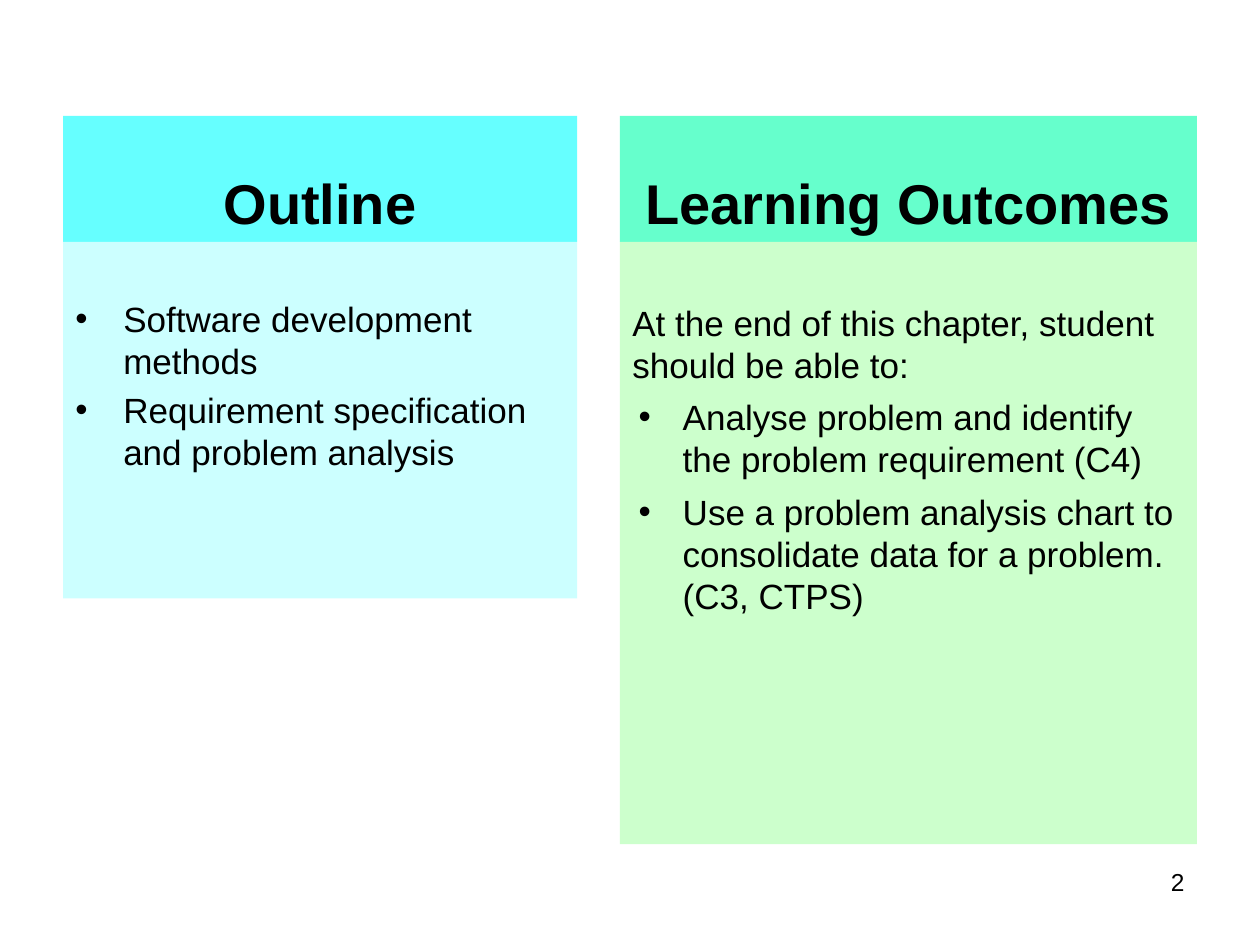
from lxml.etree import SubElement
from pptx import Presentation
from pptx.dml.color import RGBColor
from pptx.enum.shapes import MSO_SHAPE as Shape
from pptx.enum.text import MSO_ANCHOR as Anchor, PP_ALIGN as Align
from pptx.oxml.ns import qn
from pptx.util import Inches, Pt

COLORS = {
    "text": "000000",
    "outline_head": "66FFFF", "outline_body": "CCFFFF",
    "outcomes_head": "66FFCC", "outcomes_body": "CCFFCC",
}
FONT = "Arial"
PANELS = [
    {"name": "outline", "title": "Outline", "width": 4.08, "body_height": 2.83,
     "intro": [],
     "bullets": ["Software development methods",
                 "Requirement specification and problem analysis"],
     "margin": 0.38, "hanging": 0.38, "space": 4, "top_inset": 0.44},
    {"name": "outcomes", "title": "Learning Outcomes", "width": 4.58, "body_height": 4.78,
     "intro": ["At the end of this chapter, student should be able to:"],
     "bullets": ["Analyse problem and identify the problem requirement (C4)",
                 "Use a problem analysis chart to consolidate data for a problem. (C3, CTPS)"],
     "margin": 0.4, "hanging": 0.35, "space": 6, "top_inset": 0.47},
]
PAGE_NUMBER = "2"

SLIDE_WIDTH, SLIDE_HEIGHT = 10, 7.5
SIDE, TOP, HEAD_HEIGHT = 0.5, 0.92, 1
GAP = SLIDE_WIDTH - 2 * SIDE - sum(panel["width"] for panel in PANELS)


def add_block(slide, color, left, top, width, height):
    shape = slide.shapes.add_shape(
        Shape.RECTANGLE, Inches(left), Inches(top), Inches(width), Inches(height))
    shape.shadow.inherit = False
    shape.fill.solid()
    shape.fill.fore_color.rgb = RGBColor.from_string(COLORS[color])
    shape.line.fill.background()
    return shape.text_frame


def style(paragraph, size, align=Align.LEFT, bold=False):
    paragraph.alignment = align
    font = paragraph.font
    font.name, font.size, font.bold = FONT, Pt(size), bold
    font.color.rgb = RGBColor.from_string(COLORS["text"])


def add_bullet(paragraph, margin, hanging):
    properties = paragraph._p.get_or_add_pPr()
    properties.set("marL", str(Inches(margin)))
    properties.set("indent", str(-Inches(hanging)))
    SubElement(properties, qn("a:buFont"), typeface=FONT)
    SubElement(properties, qn("a:buChar"), char="•")


def add_panel(slide, panel, left):
    name, width = panel["name"], panel["width"]
    head = add_block(slide, f"{name}_head", left, TOP, width, HEAD_HEIGHT)
    head.text = panel["title"]
    head.vertical_anchor = Anchor.BOTTOM
    style(head.paragraphs[0], 32, Align.CENTER, bold=True)

    body = add_block(slide, f"{name}_body", left, TOP + HEAD_HEIGHT, width, panel["body_height"])
    body.vertical_anchor = Anchor.TOP
    body.margin_top = Inches(panel["top_inset"])
    body.text = "\n".join(panel["intro"] + panel["bullets"])
    for index, paragraph in enumerate(body.paragraphs):
        if index:
            paragraph.space_before = Pt(panel["space"])
        if index >= len(panel["intro"]):
            add_bullet(paragraph, panel["margin"], panel["hanging"])
        style(paragraph, 20)


def add_page_number(slide):
    width, top, height = 2.33, 6.83, 0.52
    box = slide.shapes.add_textbox(
        Inches(SLIDE_WIDTH - SIDE - width), Inches(top), Inches(width), Inches(height))
    box.text_frame.word_wrap = True
    box.text_frame.text = PAGE_NUMBER
    style(box.text_frame.paragraphs[0], 14, Align.RIGHT)


def main():
    presentation = Presentation()
    presentation.slide_width = Inches(SLIDE_WIDTH)
    presentation.slide_height = Inches(SLIDE_HEIGHT)
    slide = presentation.slides.add_slide(presentation.slide_layouts[6])
    left = SIDE
    for panel in PANELS:
        add_panel(slide, panel, left)
        left += panel["width"] + GAP
    add_page_number(slide)
    presentation.save("out.pptx")


if __name__ == "__main__":
    main()
